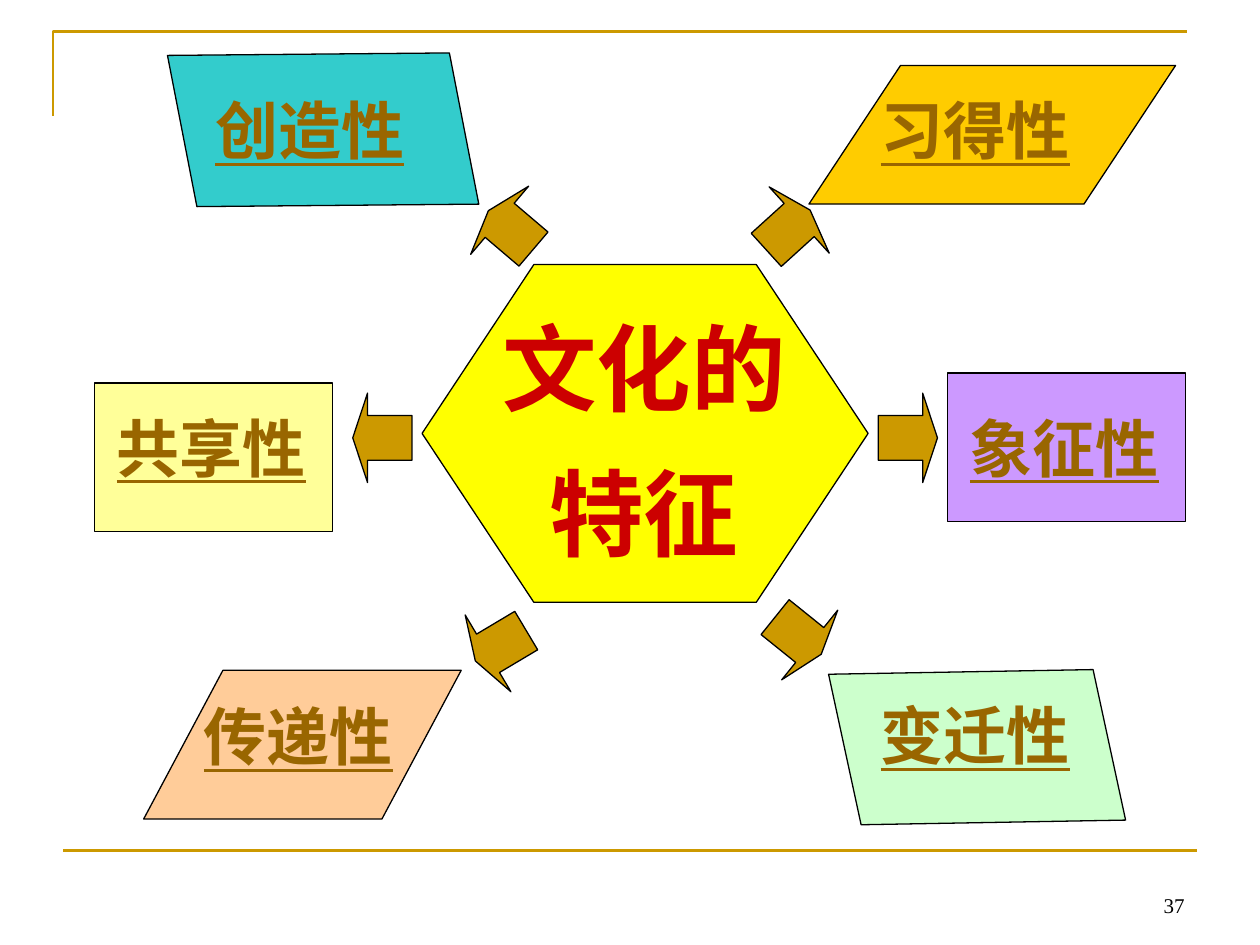
import pptx
import pptx.util
import pptx.dml.color
import pptx.enum.shapes
import pptx.enum.text
import pptx.oxml.ns
import lxml.etree

Inches = pptx.util.Inches
Pt = pptx.util.Pt
Kind = pptx.enum.shapes.MSO_SHAPE
Align = pptx.enum.text.PP_ALIGN
Anchor = pptx.enum.text.MSO_ANCHOR

HUES = {
    "gold": "CC9900", "black": "000000", "red": "CC0000", "brown": "996600",
    "yellow": "FFFF00", "amber": "FFCC00", "peach": "FFCC99", "mint": "CCFFCC",
    "teal": "33CCCC", "cream": "FFFF99", "violet": "CC99FF",
}
SANS = "Noto Sans CJK SC"
SERIF = "Times New Roman"


def color(name):
    return pptx.dml.color.RGBColor.from_string(HUES[name])


class Deck:
    def __init__(self):
        self.file = pptx.Presentation()
        self.file.slide_width = Inches(10)
        self.file.slide_height = Inches(7.5)
        self.slide = self.file.slides.add_slide(self.file.slide_layouts[6])
        self.shapes = self.slide.shapes

    def stroke(self, item, hue, width):
        item.line.color.rgb = color(hue)
        item.line.width = Pt(width)

    def corner(self, points):
        start, *rest = [(Inches(x), Inches(y)) for x, y in points]
        pen = self.shapes.build_freeform(*start)
        pen.add_line_segments(rest, close=False)
        item = pen.convert_to_shape()
        item.shadow.inherit = False
        item.fill.background()
        self.stroke(item, "gold", 1.5)

    def rule(self, left, right, y):
        item = self.shapes.add_connector(
            pptx.enum.shapes.MSO_CONNECTOR.STRAIGHT,
            Inches(left), Inches(y), Inches(right), Inches(y))
        self.stroke(item, "gold", 1.5)
        lxml.etree.SubElement(item._element.spPr, pptx.oxml.ns.qn("a:effectLst"))

    def shape(self, kind, box, hue, adjust=(), turn=0):
        item = self.shapes.add_shape(kind, *map(Inches, box))
        item.shadow.inherit = False
        item.fill.solid()
        item.fill.fore_color.rgb = color(hue)
        self.stroke(item, "black", 0.75)
        for i, value in enumerate(adjust):
            item.adjustments[i] = value
        item.rotation = turn

    def text(self, lines, box, size, hue, face=SANS, bold=True, under=False,
             align=Align.LEFT, anchor=Anchor.TOP, gap=0):
        frame = self.shapes.add_textbox(*map(Inches, box)).text_frame
        frame.word_wrap = True
        frame.vertical_anchor = anchor
        frame.text = "\n".join(lines)
        for i, para in enumerate(frame.paragraphs):
            para.alignment = align
            if i:
                para.space_before = Pt(gap)
            font = para.font
            font.name, font.size = face, Pt(size)
            font.bold, font.underline = bold, under
            font.color.rgb = color(hue)
            # East Asian glyphs take their own font entry
            east = lxml.etree.SubElement(font._element, pptx.oxml.ns.qn("a:ea"))
            east.set("typeface", face)


def main():
    deck = Deck()

    # Frame lines and page number
    deck.corner([(0.42, 0.92), (0.42, 0.25), (9.42, 0.25)])
    deck.rule(0.5, 9.5, 6.75)
    deck.text(["37"], (7.17, 6.83, 2.33, 0.5), 12, "black", SERIF,
              bold=False, align=Align.RIGHT, anchor=Anchor.BOTTOM)

    # Central topic
    deck.shape(Kind.HEXAGON, (3.35, 2.1, 3.54, 2.68), "yellow", (0.331, 1.155))
    deck.text(["文化的", "特征"], (3.8, 2.41, 2.62, 2.17), 54, "red",
              align=Align.CENTER, gap=18)

    # Panels of the six traits
    slant = Kind.PARALLELOGRAM
    panels = [
        (slant, (6.42, 0.52, 2.91, 1.1), "amber", (0.661,), 0),
        (slant, (1.14, 5.32, 2.52, 1.18), "peach", (0.533,), 0),
        (slant, (6.94, 4.9, 1.63, 2.06), "mint", (0.25,), 257.8),
        (slant, (1.75, -0.07, 1.63, 2.2), "teal", (0.25,), 259),
        (Kind.RECTANGLE, (0.75, 3.04, 1.89, 1.18), "cream", (), 0),
        (Kind.RECTANGLE, (7.52, 2.96, 1.89, 1.18), "violet", (), 0),
    ]
    for panel in panels:
        deck.shape(*panel)

    # Trait names
    traits = [
        ("创造性", 1.61, 0.68, 2.68), ("习得性", 6.89, 0.68, 2.44),
        ("象征性", 7.6, 3.2, 1.73), ("变迁性", 6.89, 5.48, 1.98),
        ("传递性", 1.52, 5.49, 2.12), ("共享性", 0.83, 3.2, 1.81),
    ]
    for name, left, top, width in traits:
        deck.text([name], (left, top, width, 0.71), 36, "brown", under=True)

    # Arrows pointing outward from the topic
    arrows = [
        (2.8, 3.12, 0), (6.1, 4.69, 218.8), (6.02, 1.47, 137.8),
        (6.97, 3.12, 180), (3.74, 4.77, 329.2), (3.82, 1.47, 40.4),
    ]
    for left, top, turn in arrows:
        deck.shape(Kind.LEFT_ARROW, (left, top, 0.47, 0.71), "gold",
                   (0.5, 0.25), turn)

    deck.file.save("out.pptx")


if __name__ == "__main__":
    main()
